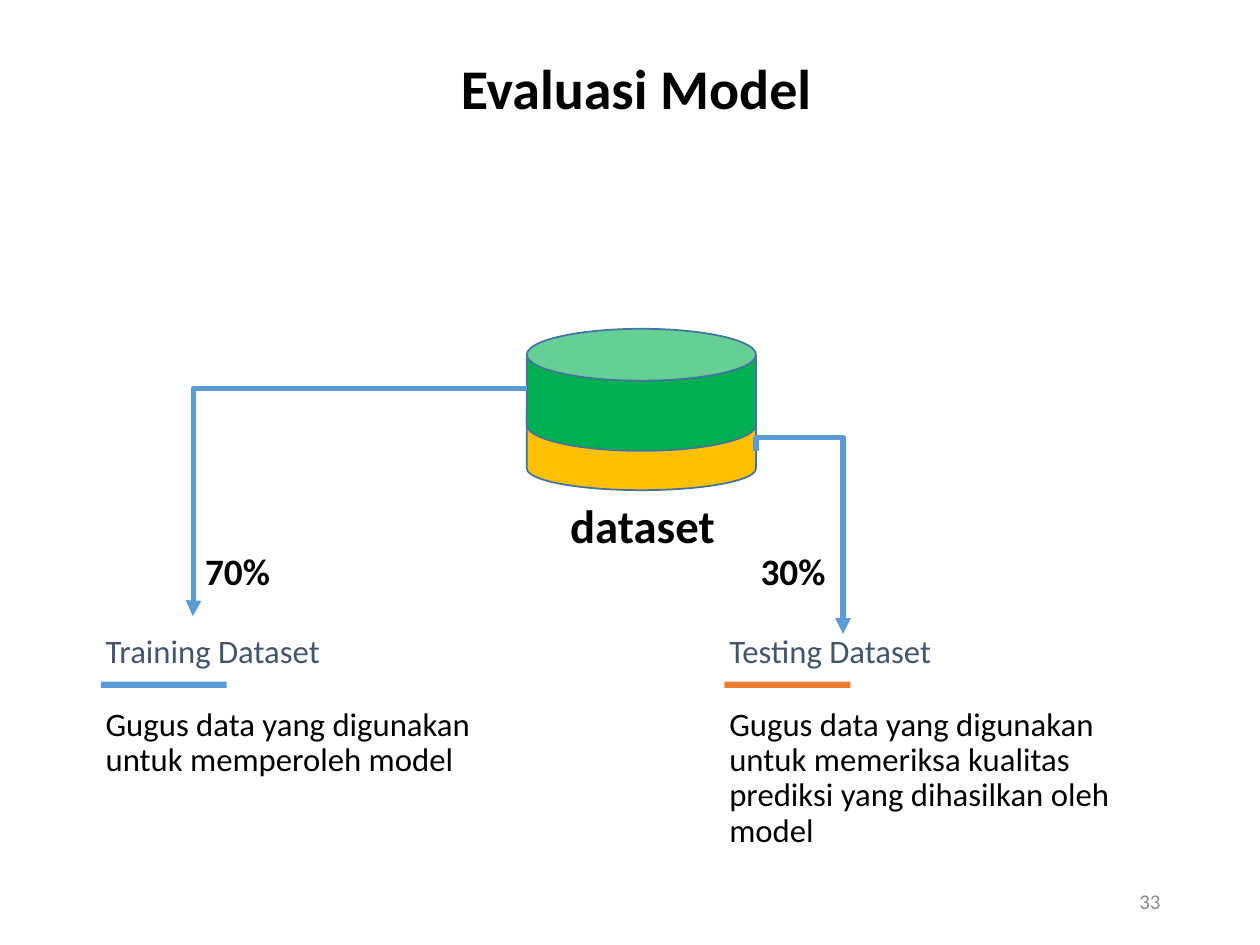
from lxml.etree import SubElement
from pptx import Presentation
from pptx.dml.color import RGBColor
from pptx.enum.shapes import MSO_CONNECTOR as LINE, MSO_SHAPE as SHAPE
from pptx.enum.text import MSO_ANCHOR as ANCHOR, MSO_AUTO_SIZE as FIT, PP_ALIGN as ALIGN
from pptx.oxml.ns import qn
from pptx.util import Pt

BLACK = RGBColor(0x00, 0x00, 0x00)
GRAY = RGBColor(0x8C, 0x8C, 0x8C)
SLATE = RGBColor(0x44, 0x54, 0x6A)
BLUE = RGBColor(0x5B, 0x9B, 0xD5)
OUTLINE = RGBColor(0x43, 0x73, 0x9E)
ORANGE = RGBColor(0xED, 0x7D, 0x31)
YELLOW = RGBColor(0xFF, 0xC0, 0x00)
GREEN = RGBColor(0x00, 0xB0, 0x50)


class Page:
    """Style and drawing methods for one slide."""
    font = "Calibri"

    def __init__(self, deck):
        self.slide = deck.slides.add_slide(deck.slide_layouts[5])
        self.shapes = self.slide.shapes

    def fill_text(self, box, text, size, color=BLACK, bold=False, align=ALIGN.LEFT,
                  anchor=ANCHOR.TOP, spacing=1.0, fit=FIT.NONE):
        frame = box.text_frame
        for name, value in dict(word_wrap=True, auto_size=fit, vertical_anchor=anchor).items():
            setattr(frame, name, value)
        para = frame.paragraphs[0]
        para.alignment, para.line_spacing = align, spacing
        span = para.add_run()
        span.text = text
        for name, value in dict(name=self.font, size=Pt(size), bold=bold).items():
            setattr(span.font, name, value)
        span.font.color.rgb = color

    def title(self, text, left, top, width, height, **style):
        box = self.shapes.title
        for name, value in dict(left=left, top=top, width=width, height=height).items():
            setattr(box, name, Pt(value))
        self.fill_text(box, text, **style)

    def text(self, text, left, top, width, height, **style):
        box = self.shapes.add_textbox(Pt(left), Pt(top), Pt(width), Pt(height))
        self.fill_text(box, text, **style)

    def shape(self, kind, left, top, width, height, fill, line=None):
        shape = self.shapes.add_shape(kind, Pt(left), Pt(top), Pt(width), Pt(height))
        shape.shadow.inherit = False
        shape.fill.solid()
        shape.fill.fore_color.rgb = fill
        if line is None:
            shape.line.fill.background()
        else:
            shape.line.color.rgb = line
            shape.line.width = Pt(1)
        return shape

    def can(self, top, height, fill):
        can = self.shape(SHAPE.CAN, 301, top, 131, height, fill, OUTLINE)
        can.adjustments[0] = 0.425

    def elbow(self, start, end, bend, turned=False):
        """Elbow arrow; bend is the share of the first leg, turned starts it vertically."""
        (x1, y1), (x2, y2) = start, end
        if turned:  # lay the frame on its side about its centre, then rotate it
            mid_x, mid_y = (x1 + x2) / 2, (y1 + y2) / 2
            half_w, half_h = (y2 - y1) / 2, (x2 - x1) / 2
            x1, y1 = mid_x + half_w, mid_y - half_h
            x2, y2 = mid_x - half_w, mid_y + half_h
        arrow = self.shapes.add_connector(LINE.ELBOW, Pt(x1), Pt(y1), Pt(x2), Pt(y2))
        arrow.line.color.rgb = BLUE
        arrow.line.width = Pt(3)
        props = arrow._element.spPr
        if turned:
            props.find(qn("a:xfrm")).set("rot", str(270 * 60000))
        guides = props.find(qn("a:prstGeom")).find(qn("a:avLst"))
        SubElement(guides, qn("a:gd"), name="adj1", fmla=f"val {round(bend * 100000)}")
        SubElement(props.find(qn("a:ln")), qn("a:tailEnd"), type="triangle")
        SubElement(props, qn("a:effectLst"))


def main():
    deck = Presentation()
    deck.slide_width, deck.slide_height = Pt(720), Pt(540)
    page = Page(deck)
    page.title("Evaluasi Model", 53.3, 0, 620.6, 104.4, size=32, bold=True,
               align=ALIGN.CENTER, anchor=ANCHOR.MIDDLE, spacing=0.9)

    # Dataset cylinder: testing part below, training part on top
    page.can(221.8, 58.3, YELLOW)
    page.can(187.9, 69.8, GREEN)
    page.text("dataset", 316.8, 280.1, 100.8, 39.6, size=26.7, bold=True,
              align=ALIGN.CENTER, fit=FIT.SHAPE_TO_FIT_TEXT)

    # The two parts: heading, accent bar and description
    parts = [
        (53.3, BLUE, "Training Dataset", "Gugus data yang digunakan untuk memperoleh model"),
        (409.7, ORANGE, "Testing Dataset",
         "Gugus data yang digunakan untuk memeriksa kualitas prediksi yang dihasilkan oleh model"),
    ]
    for left, accent, heading, description in parts:
        page.shape(SHAPE.RECTANGLE, left + 4.3, 389.5, 72, 3.6, accent)
        page.text(heading, left, 352.1, 252, 38.9, size=18.7, color=SLATE, anchor=ANCHOR.MIDDLE)
        page.text(description, left, 401, 252, 90, size=18.7, spacing=0.9)

    # Arrows from the cylinder with their shares
    page.elbow((301, 221.8), (110.2, 352.1), 0.998)
    page.elbow((432, 257.8), (481.7, 362.2), -0.074, turned=True)
    for share, left, align in [("70%", 110.2, ALIGN.LEFT), ("30%", 419, ALIGN.RIGHT)]:
        page.text(share, left, 309.6, 59.8, 33.1, size=21.3, bold=True, align=align,
                  fit=FIT.SHAPE_TO_FIT_TEXT)

    # Page number
    page.text("33", 508.3, 500.4, 162, 28.8, size=12, color=GRAY,
              align=ALIGN.RIGHT, anchor=ANCHOR.MIDDLE)
    deck.save("out.pptx")


if __name__ == "__main__":
    main()
